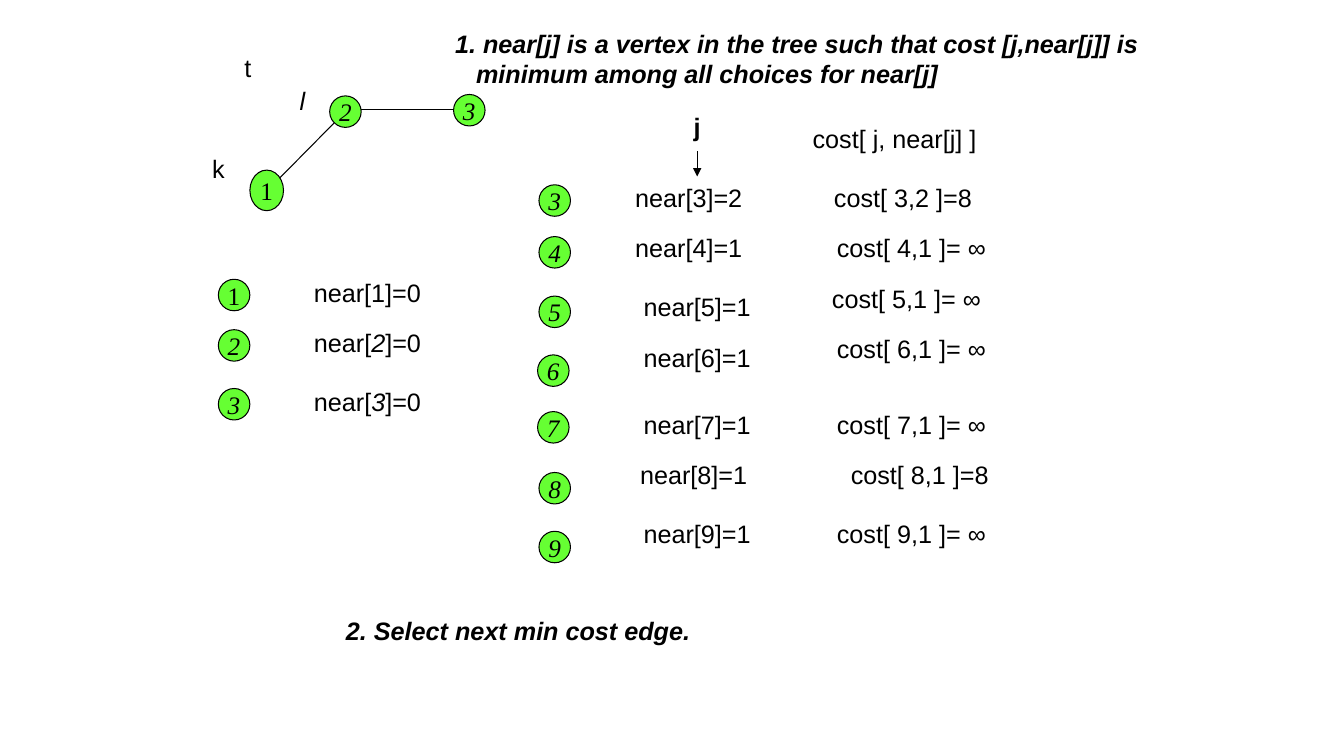
from lxml import etree
from pptx import Presentation
from pptx.dml.color import RGBColor
from pptx.enum.shapes import MSO_CONNECTOR, MSO_SHAPE
from pptx.enum.text import MSO_ANCHOR, PP_ALIGN
from pptx.oxml.ns import qn
from pptx.util import Pt

ELLIPSE = MSO_SHAPE.OVAL
RECTANGLE = MSO_SHAPE.RECTANGLE
STRAIGHT = MSO_CONNECTOR.STRAIGHT
MIDDLE = MSO_ANCHOR.MIDDLE
LEFT = PP_ALIGN.LEFT
CENTER = PP_ALIGN.CENTER

BLACK = "000000"
WHITE = "FFFFFF"
GREEN = "66FF33"

LABEL_FONT = {"name": "Arial", "size": Pt(18), "bold": False, "italic": False}
STEP_FONT = {**LABEL_FONT, "bold": True, "italic": True}
VERTEX_FONT = {**LABEL_FONT, "name": "Times New Roman"}

VERTEX_SIZE = 22.5
NEAR_WIDTH, COST_WIDTH, ROW_HEIGHT = 72, 138, 18
LETTER_SIZE = 24

# vertex, its left and top, near value, left and top, cost value, left and top
OUTSIDE_ROWS = [
    (3, 385, 132, "2", 456, 132, "8", 576, 132),
    (4, 385, 169, "1", 456, 168, " ∞", 582, 168),
    (5, 385, 211.5, "1", 462, 210, " ∞", 578.5, 204),
    (6, 384, 253.5, "1", 462, 246, " ∞", 582, 240),
    (7, 384, 294, "1", 462, 294, " ∞", 582, 294),
    (8, 385, 337.5, "1", 459.5, 330, "8", 588, 330),
    (9, 385, 379.5, "1", 462, 372, " ∞", 582, 372),
]
# vertex, top, italic number
TREE_ROWS = [(1, 199.5, False), (2, 235.5, True), (3, 277.5, True)]


def color(hex_string):
    return RGBColor.from_string(hex_string)


def add_run(paragraph, text, font_format):
    run = paragraph.add_run()
    run.text = text
    for name, value in font_format.items():
        setattr(run.font, name, value)
    run.font.color.rgb = color(BLACK)


def add_figure(slide, kind, left, top, width, height, fill, line):
    """Add a flat shape with middle-anchored, unwrapped text."""
    shape = slide.shapes.add_shape(kind, Pt(left), Pt(top), Pt(width), Pt(height))
    shape.shadow.inherit = False
    shape.fill.solid()
    shape.fill.fore_color.rgb = color(fill)
    shape.line.color.rgb = color(line)
    shape.line.width = Pt(0.75)
    shape.text_frame.vertical_anchor = MIDDLE
    shape.text_frame.word_wrap = False
    return shape


def add_vertex(slide, number, left, top, height=VERTEX_SIZE, width=VERTEX_SIZE):
    shape = add_figure(slide, ELLIPSE, left, top, width, height, GREEN, BLACK)
    paragraph = shape.text_frame.paragraphs[0]
    paragraph.alignment = CENTER
    add_run(paragraph, str(number), {**VERTEX_FONT, "italic": number != 1})


def add_label(slide, runs, left, top, width, height=ROW_HEIGHT):
    """Add a centred label from (text, format changes) pairs."""
    shape = add_figure(slide, RECTANGLE, left, top, width, height, WHITE, WHITE)
    paragraph = shape.text_frame.paragraphs[0]
    paragraph.alignment = CENTER
    for text, changes in runs:
        add_run(paragraph, text, {**LABEL_FONT, **changes})


def add_step(slide, lines, left, top):
    """Add a numbered step whose later lines are indented."""
    shape = add_figure(slide, RECTANGLE, left, top, 468, 36, WHITE, WHITE)
    frame = shape.text_frame
    for index, text in enumerate(lines):
        paragraph = frame.add_paragraph() if index else frame.paragraphs[0]
        paragraph.alignment = LEFT
        if index:
            paragraph._p.get_or_add_pPr().set("marL", str(Pt(15)))
        add_run(paragraph, text, STEP_FONT)


def add_edge(slide, start, end, arrow=False):
    connector = slide.shapes.add_connector(
        STRAIGHT, *(Pt(value) for value in (*start, *end))
    )
    connector.line.color.rgb = color(BLACK)
    connector.line.width = Pt(0.75)
    if arrow:
        line = connector.line._get_or_add_ln()
        etree.SubElement(line, qn("a:tailEnd"), type="triangle")
    etree.SubElement(connector._element.spPr, qn("a:effectLst"))


def add_tree(slide):
    add_edge(slide, (198, 129), (238.5, 88))
    add_edge(slide, (258, 78), (324, 78))
    add_vertex(slide, 1, 178.5, 121.5, height=29, width=24)
    add_vertex(slide, 2, 235.5, 68.5)
    add_vertex(slide, 3, 324, 67.5)
    for letter, left, top, italic in (
        ("t", 165, 36, False),
        ("k", 144, 108, False),
        ("l", 204, 60, True),
    ):
        add_label(slide, [(letter, {"italic": italic})],
                  left, top, LETTER_SIZE, LETTER_SIZE)


def add_tree_rows(slide):
    for vertex, top, italic in TREE_ROWS:
        add_vertex(slide, vertex, 156, top)
        runs = [("near[", {}), (str(vertex), {"italic": italic}), ("]=0", {})]
        add_label(slide, runs, 226.5, top, NEAR_WIDTH)


def add_outside_rows(slide):
    add_label(slide, [("j", {"bold": True})], 486, 78, LETTER_SIZE, LETTER_SIZE)
    add_edge(slide, (498, 108), (498, 126), arrow=True)
    add_label(slide, [("cost[ j, near[j] ]", {})], 570, 90, COST_WIDTH)
    for (vertex, vertex_left, vertex_top, near, near_left, near_top,
         cost, cost_left, cost_top) in OUTSIDE_ROWS:
        add_vertex(slide, vertex, vertex_left, vertex_top)
        add_label(slide, [(f"near[{vertex}]={near}", {})],
                  near_left, near_top, NEAR_WIDTH)
        add_label(slide, [(f"cost[ {vertex},{near} ]={cost}", {})],
                  cost_left, cost_top, COST_WIDTH)


def main():
    presentation = Presentation()
    presentation.slide_width = Pt(960)
    presentation.slide_height = Pt(540)
    slide = presentation.slides.add_slide(presentation.slide_layouts[6])
    slide.background.fill.solid()
    slide.background.fill.fore_color.rgb = color(WHITE)

    add_step(slide, [
        "1. near[j] is a vertex in the tree such that cost [j,near[j]] is",
        "minimum among all choices for near[j]",
    ], 318, 24)
    add_tree(slide)
    add_tree_rows(slide)
    add_outside_rows(slide)
    add_step(slide, ["2. Select next min cost edge."], 240, 432)
    presentation.save("out.pptx")


if __name__ == "__main__":
    main()
